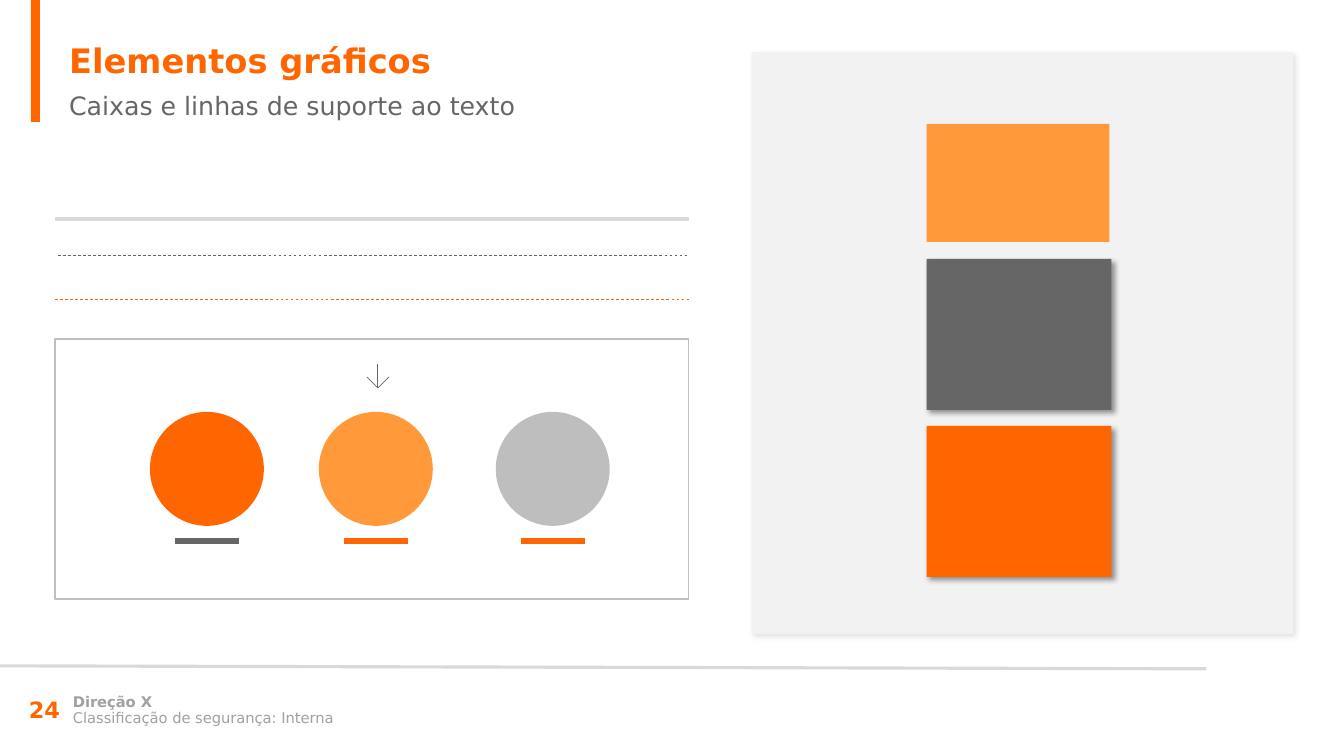
from lxml.etree import SubElement
from pptx import Presentation
from pptx.dml.color import RGBColor
from pptx.enum.dml import MSO_LINE
from pptx.enum.shapes import MSO_CONNECTOR, MSO_SHAPE
from pptx.enum.text import MSO_ANCHOR, PP_ALIGN
from pptx.oxml.ns import qn
from pptx.util import Emu, Inches, Pt

PX = 9045
FONT = "DejaVu Sans"
ORANGE = RGBColor(0xFF, 0x66, 0x00)
LIGHT = RGBColor(0xFF, 0x99, 0x3A)
DARK = RGBColor(0x66, 0x66, 0x66)
GREY = RGBColor(0xBE, 0xBE, 0xBE)
EDGE = RGBColor(0xBF, 0xBF, 0xBF)
RULE = RGBColor(0xD9, 0xD9, 0xD9)
PANEL = RGBColor(0xF2, 0xF2, 0xF2)
NOTE = RGBColor(0xA1, 0xA1, 0xA1)
BLACK = RGBColor(0x00, 0x00, 0x00)

TITLE = ("Elementos gráficos", (59, 35, 1256, 51), 24, ORANGE, True)
SUB = ("Caixas e linhas de suporte ao texto", (59, 85, 1256, 40), 18, DARK, False)
FOOT = [
    ("Direção X", (63, 691, 761, 25), 10.5, NOTE, True, 0.85),
    ("Classificação de segurança: Interna", (63, 707, 761, 25), 10.5, NOTE, False, 0.85),
    ("24", (19, 690, 70, 40), 16, ORANGE, True, 1.0),
]
RULES = [
    ((0, 666, 1207, 669), RULE, 2.25, None),
    ((58, 255, 689, 255), DARK, 0.5, MSO_LINE.DASH),
    ((55, 219, 689, 219), RULE, 2.25, None),
    ((55, 299, 689, 299), ORANGE, 0.5, MSO_LINE.DASH),
]
DOTS = [(207, ORANGE, DARK), (376, LIGHT, ORANGE), (553, GREY, ORANGE)]
DOT_TOP, DOT, BAR_Y, BAR = 412, 114, 541, 64
FRAME = (55, 339, 634, 260)
CARDS = [
    ((752, 52, 542, 582), PANEL, (EDGE, 43)),
    ((927, 259, 185, 151), DARK, (BLACK, 40)),
    ((927, 426, 185, 151), ORANGE, (BLACK, 40)),
    ((927, 124, 183, 118), LIGHT, None),
]
WINGS = [(367, 377), (378, 388), (389, 377)]
SHAFT = [(378, 364), (378, 388)]


def emu(box):
    return [Emu(v * PX) for v in box]


def add_text(shape, text, size, color, bold, gap=1.0, anchor=MSO_ANCHOR.TOP):
    frame = shape.text_frame
    frame.word_wrap = True
    frame.vertical_anchor = anchor
    frame.text = text
    para = frame.paragraphs[0]
    para.alignment = PP_ALIGN.LEFT
    para.line_spacing = gap
    para.space_before = Pt(0)
    props = para._p.get_or_add_pPr()
    props.set("marL", "0")
    props.set("indent", "0")
    SubElement(props, qn("a:buNone"))
    font = para.font
    font.name, font.size, font.bold = FONT, Pt(size), bold
    font.color.rgb = color


def add_holder(holder, text, box, size, color, bold):
    holder.left, holder.top, holder.width, holder.height = emu(box)
    add_text(holder, text, size, color, bold)


def add_box(shapes, kind, box, fill=None, edge=None, shade=None):
    shape = shapes.add_shape(kind, *emu(box))
    if fill is None:
        shape.fill.background()
    else:
        shape.fill.solid()
        shape.fill.fore_color.rgb = fill
    if edge is None:
        shape.line.fill.background()
    else:
        shape.line.color.rgb = edge
        shape.line.width = Pt(1)
    shape.shadow.inherit = False
    if shade:
        color, alpha = shade
        effects = shape._element.spPr.find(qn("a:effectLst"))
        outer = SubElement(effects, qn("a:outerShdw"), blurRad=str(Pt(4)),
                           dist=str(Pt(3)), dir="2700000", algn="tl", rotWithShape="0")
        tint = SubElement(outer, qn("a:srgbClr"), val=str(color))
        SubElement(tint, qn("a:alpha"), val=str(alpha * 1000))


def add_rule(shapes, ends, color, width, dash=None):
    rule = shapes.add_connector(MSO_CONNECTOR.STRAIGHT, *emu(ends))
    rule.line.color.rgb = color
    rule.line.width = Pt(width)
    if dash:
        rule.line.dash_style = dash
    SubElement(rule._element.spPr, qn("a:effectLst"))


def add_arrow(shapes):
    pen = shapes.build_freeform(*WINGS[0], scale=PX)
    pen.add_line_segments(WINGS[1:], close=False)
    pen.move_to(*SHAFT[0])
    pen.add_line_segments(SHAFT[1:], close=False)
    arrow = pen.convert_to_shape()
    arrow.fill.background()
    arrow.line.color.rgb = DARK
    arrow.line.width = Pt(0.5)
    arrow.shadow.inherit = False


def main():
    """Build the slide of graphic elements."""
    deck = Presentation()
    deck.slide_width, deck.slide_height = Inches(13.3), Inches(7.48)
    slide = deck.slides.add_slide(deck.slide_layouts[1])
    shapes = slide.shapes
    add_holder(shapes.title, *TITLE)
    add_holder(slide.placeholders[1], *SUB)
    add_box(shapes, MSO_SHAPE.RECTANGLE, (31, 0, 9, 122), ORANGE)
    for text, box, *style in FOOT:
        add_text(shapes.add_textbox(*emu(box)), text, *style, MSO_ANCHOR.MIDDLE)
    for rule in RULES:
        add_rule(shapes, *rule)
    add_box(shapes, MSO_SHAPE.RECTANGLE, FRAME, edge=EDGE)
    add_arrow(shapes)
    for mid, fill, bar in DOTS:
        add_box(shapes, MSO_SHAPE.OVAL, (mid - DOT // 2, DOT_TOP, DOT, DOT), fill)
        add_rule(shapes, (mid - BAR // 2, BAR_Y, mid + BAR // 2, BAR_Y), bar, 4.5)
    for box, fill, shade in CARDS:
        add_box(shapes, MSO_SHAPE.RECTANGLE, box, fill, shade=shade)
    deck.save("out.pptx")


if __name__ == "__main__":
    main()
